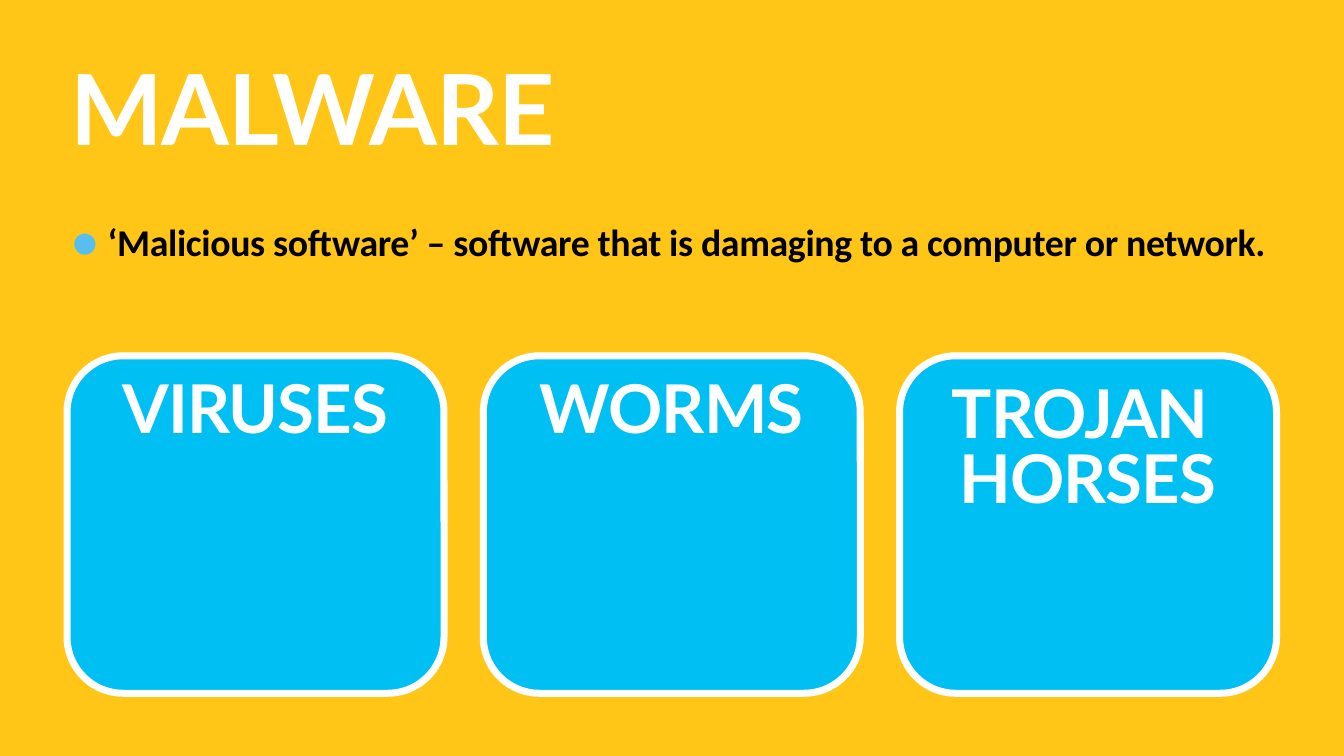
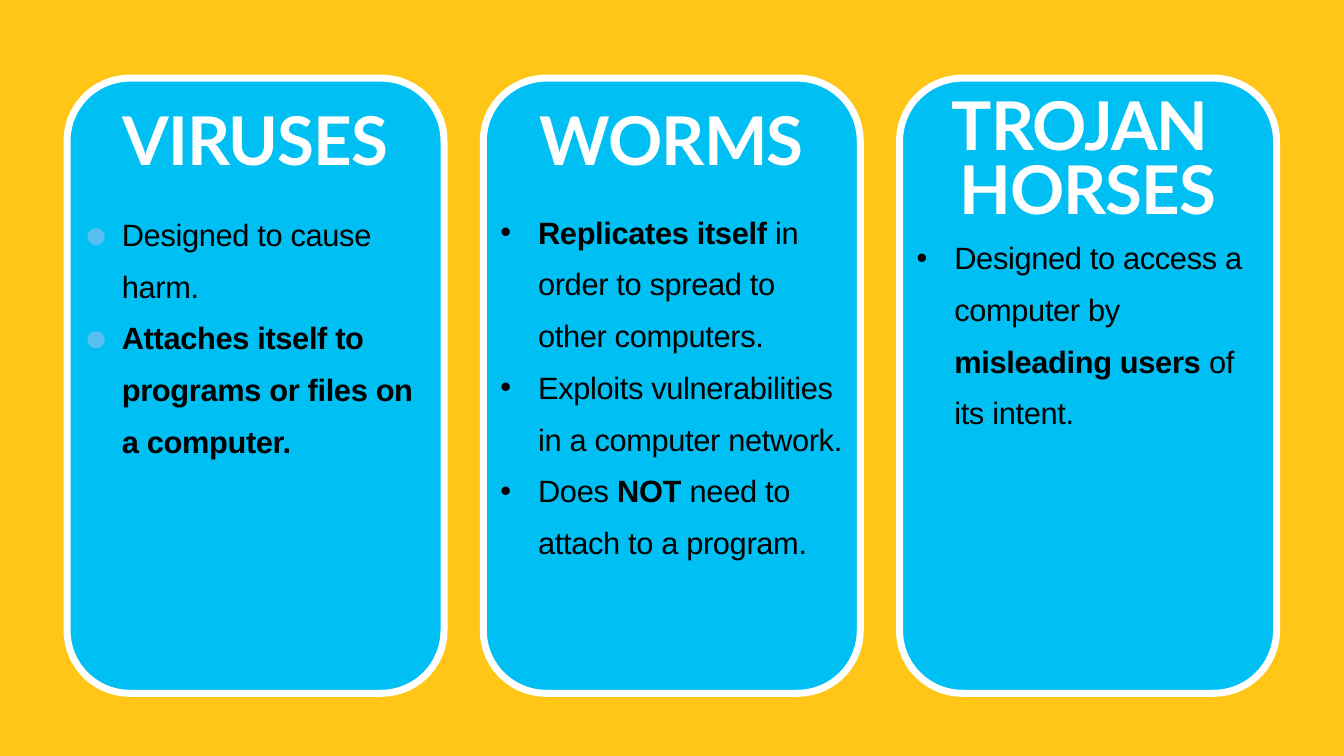
from lxml import etree
from pptx import Presentation
from pptx import util as u
from pptx.dml.color import RGBColor
from pptx.enum import shapes, text
from pptx.oxml.ns import qn

COLOURS = {
    "background": "FFC617",
    "card": "00BFF3",
    "light": "FFFFFF",
    "ink": "000000",
    "dot": "57BEF0",
}
CARD_LEFT, CARD_WIDTH, CARD_PITCH = 3.38, 19, 20.98
CARD_BOTTOM = 34.94
HEADINGS = [["VIRUSES"], ["WORMS"], ["TROJAN ", "HORSES"]]
HEADING_HEIGHTS = [3.66, 3.66, 7.42]
SMALL_DOT = {"symbol": "•", "percent": 100, "colour": "ink"}
LARGE_DOT = {"symbol": "●", "percent": 130, "colour": "dot"}

DEFINITION = [
    [("‘Malicious software’ – software that is damaging to a computer or network.", True)],
]
VIRUS_FACTS = [
    [("Designed to cause harm.", False)],
    [("Attaches itself to programs or files on a computer.", True)],
]
WORM_FACTS = [
    [("Replicates itself ", True), ("in order to spread to other computers.", False)],
    [("Exploits vulnerabilities in a computer network.", False)],
    [("Does ", False), ("NOT", True), (" need to attach to a program.", False)],
]
TROJAN_FACTS = [
    [("Designed to access a computer by ", False), ("misleading users ", True),
     ("of its intent.", False)],
]


def rgb(name):
    """Return the named palette colour."""
    return RGBColor.from_string(COLOURS[name])


def place(box, left, top, width, height):
    """Move and size a box, in centimetres."""
    box.left, box.top = u.Cm(left), u.Cm(top)
    box.width, box.height = u.Cm(width), u.Cm(height)


def prepare_frame(box, anchor):
    """Give a box its margins, wrapping and anchor, and return its frame."""
    frame = box.text_frame
    frame.word_wrap = True
    frame.auto_size = text.MSO_AUTO_SIZE.NONE
    frame.vertical_anchor = anchor
    frame.margin_left = frame.margin_right = u.Cm(0.15)
    frame.margin_top = frame.margin_bottom = u.Cm(0.15)
    return frame


def next_paragraph(frame, index):
    """Return the first paragraph of a frame, or a new one after it."""
    return frame.paragraphs[0] if index == 0 else frame.add_paragraph()


def style_paragraph(paragraph, face, size, colour, spacing, tracking, align):
    """Set the font, line spacing and letter spacing of a paragraph."""
    paragraph.alignment = align
    paragraph.line_spacing = spacing
    paragraph.space_before = paragraph.space_after = u.Pt(0)
    font = paragraph.font
    font.name, font.size = face, u.Pt(size)
    font.color.rgb = rgb(colour)
    paragraph._p.pPr.find(qn("a:defRPr")).set("spc", str(tracking))


def add_bullet(paragraph, symbol, percent, colour):
    """Give a paragraph a hanging bullet."""
    properties = paragraph._p.get_or_add_pPr()
    properties.set("marL", str(u.Cm(1.9)))
    properties.set("indent", str(-u.Cm(1.9)))
    bullet_colour = etree.SubElement(properties, qn("a:buClr"))
    etree.SubElement(bullet_colour, qn("a:srgbClr"), val=COLOURS[colour])
    etree.SubElement(properties, qn("a:buSzPct"), val=str(percent * 1000))
    etree.SubElement(properties, qn("a:buFont"), typeface="Arial")
    etree.SubElement(properties, qn("a:buChar"), char=symbol)


def write_heading(box, lines, size, align, anchor):
    """Write bold white display lines."""
    frame = prepare_frame(box, anchor)
    for index, line in enumerate(lines):
        paragraph = next_paragraph(frame, index)
        paragraph.add_run().text = line
        style_paragraph(paragraph, "Lato", size, "light", 0.8, -140, align)
        paragraph.font.bold = True


def write_list(box, items, face, size, bullet):
    """Write bulleted items made of plain and bold pieces."""
    frame = prepare_frame(box, text.MSO_ANCHOR.TOP)
    for index, pieces in enumerate(items):
        paragraph = next_paragraph(frame, index)
        add_bullet(paragraph, **bullet)
        style_paragraph(paragraph, face, size, "ink", 1.4, -50, text.PP_ALIGN.LEFT)
        for words, bold in pieces:
            run = paragraph.add_run()
            run.text = words
            run.font.bold = bold


def add_text_box(slide, left, top, width, height):
    """Add an empty text box, in centimetres."""
    return slide.shapes.add_textbox(u.Cm(left), u.Cm(top), u.Cm(width), u.Cm(height))


def add_cards(slide, card_top, heading_tops):
    """Add the row of three rounded cards with their headings."""
    lefts = [CARD_LEFT + column * CARD_PITCH for column in range(len(HEADINGS))]
    for left in lefts:
        card = slide.shapes.add_shape(
            shapes.MSO_SHAPE.ROUNDED_RECTANGLE, u.Cm(left), u.Cm(card_top),
            u.Cm(CARD_WIDTH), u.Cm(CARD_BOTTOM - card_top))
        card.shadow.inherit = False
        card.fill.solid()
        card.fill.fore_color.rgb = rgb("card")
        card.line.color.rgb = rgb("light")
        card.line.width = u.Pt(10)
    for left, top, height, lines in zip(lefts, heading_tops, HEADING_HEIGHTS, HEADINGS):
        heading = add_text_box(slide, left + 1.57, top, 15.85, height)
        write_heading(heading, lines, 96, text.PP_ALIGN.CENTER, text.MSO_ANCHOR.MIDDLE)


def build_overview(slide):
    """Build the slide that defines malware and names its kinds."""
    title, definition = slide.shapes.title, slide.placeholders[1]
    place(title, CARD_LEFT, 3.38, 60.96, 6.38)
    write_heading(title, ["MALWARE"], 140, text.PP_ALIGN.LEFT, text.MSO_ANCHOR.TOP)
    place(definition, CARD_LEFT, 9.98, 60.96, 24.74)
    write_list(definition, DEFINITION, "Calibri", 54, LARGE_DOT)
    add_cards(slide, 17.93, [19.05, 19.05, 19.05])


def build_comparison(slide):
    """Build the slide that describes each kind of malware."""
    title, viruses = slide.shapes.title, slide.placeholders[1]
    title._element.getparent().remove(title._element)
    add_cards(slide, 3.94, [5.54, 5.54, 4.52])
    slide.shapes._spTree.append(viruses._element)
    list_left, list_width, list_height = CARD_LEFT + 0.71, 17.63, 24.74
    place(viruses, list_left, 9.98, list_width, list_height)
    write_list(viruses, VIRUS_FACTS, "Arial", 44, LARGE_DOT)
    for column, top, facts in [(1, 9.86, WORM_FACTS), (2, 11.15, TROJAN_FACTS)]:
        left = list_left + column * CARD_PITCH
        description = add_text_box(slide, left, top, list_width, list_height)
        write_list(description, facts, "Arial", 44, SMALL_DOT)


def main():
    """Build and save the presentation."""
    presentation = Presentation()
    presentation.slide_width, presentation.slide_height = u.Cm(67.74), u.Cm(38.1)
    backdrop = presentation.slide_master.background.fill
    backdrop.solid()
    backdrop.fore_color.rgb = rgb("background")
    layout = presentation.slide_layouts[1]
    for build in (build_overview, build_comparison):
        build(presentation.slides.add_slide(layout))
    presentation.save("out.pptx")


if __name__ == "__main__":
    main()
